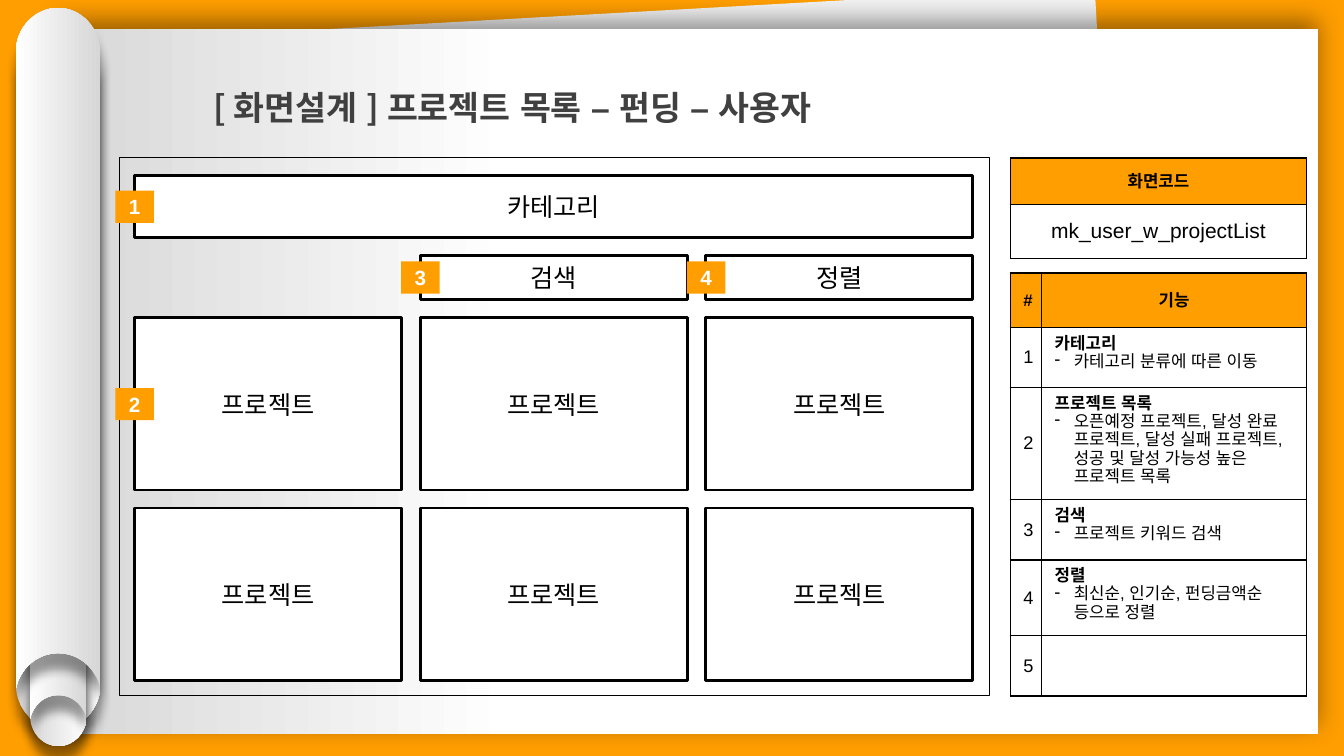
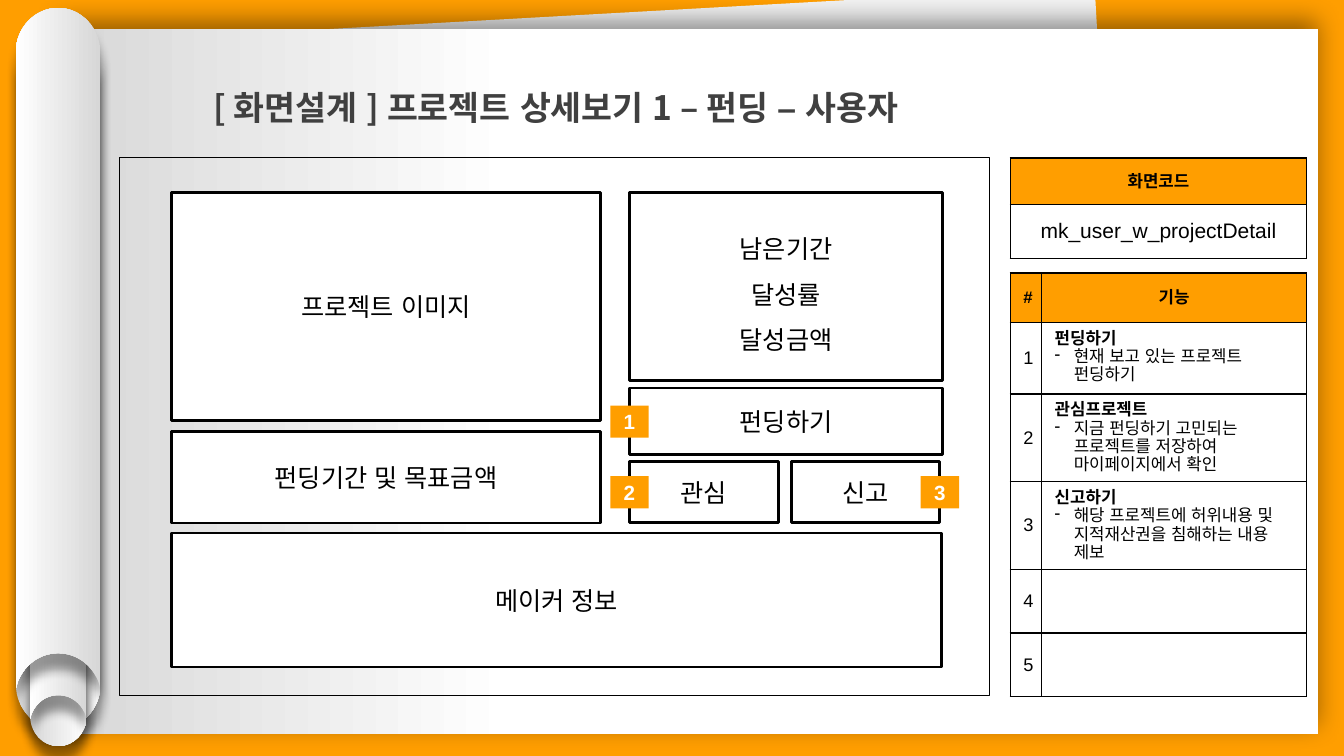
"""Build two screen design slides with a wireframe and a table of functions."""
from lxml.etree import SubElement
from pptx import Presentation
from pptx.dml.color import RGBColor
from pptx.enum.shapes import MSO_SHAPE
from pptx.enum.text import MSO_ANCHOR, PP_ALIGN
from pptx.oxml import parse_xml
from pptx.oxml.ns import nsdecls, qn
from pptx.util import Cm, Pt

HUES = {"gold": "FF9E00", "white": "FFFFFF", "black": "000000",
        "pale": "F2F2F2", "grey": "D7D7D7", "dark": "404040"}
INK = {name: RGBColor.from_string(code) for name, code in HUES.items()}
LATIN, HANGUL = "Arial", "Noto Sans CJK KR"

LEFT, STEP, WIDE = 3.39, 7.2, 6.73
CELLS = [("프로젝트", LEFT + col * STEP, top, WIDE, 4.34,
          "2" if (row, col) == (0, 0) else "", 0)
         for row, top in enumerate((8.01, 12.8)) for col in range(3)]

PAGES = [
    {"title": "[ 화면설계 ] 프로젝트 목록 – 펀딩 – 사용자",
     "code": "mk_user_w_projectList",
     "rows": [1.37, 1.52, 2.82, 1.52, 1.91, 1.52],
     "tasks": [
         ("카테고리", "카테고리 분류에 따른 이동"),
         ("프로젝트 목록", "오픈예정 프로젝트, 달성 완료 프로젝트, 달성 실패 프로젝트, "
                     "성공 및 달성 가능성 높은 프로젝트 목록"),
         ("검색", "프로젝트 키워드 검색"),
         ("정렬", "최신순, 인기순, 펀딩금액순 등으로 정렬")],
     "boxes": [
         ("카테고리", LEFT, 4.42, 21.13, 1.57, "1", 0), *CELLS,
         ("정렬", LEFT + 2 * STEP, 6.43, WIDE, 1.12, "4", 0),
         ("검색", LEFT + STEP, 6.43, WIDE, 1.12, "3", 0)]},
    {"title": "[ 화면설계 ] 프로젝트 상세보기 1 – 펀딩 – 사용자",
     "code": "mk_user_w_projectDetail",
     "rows": [1.25, 1.8, 2.21, 2.21, 1.6, 1.6],
     "tasks": [
         ("펀딩하기", "현재 보고 있는 프로젝트 펀딩하기"),
         ("관심프로젝트", "지금 펀딩하기 고민되는 프로젝트를 저장하여 마이페이지에서 확인"),
         ("신고하기", "해당 프로젝트에 허위내용 및 지적재산권을 침해하는 내용 제보")],
     "boxes": [
         ("프로젝트 이미지", 4.32, 4.86, 10.82, 5.74, "", 0),
         ("펀딩기간 및 목표금액", 4.32, 10.87, 10.82, 2.31, "", 0),
         ("남은기간\n달성률\n달성금액", 15.86, 4.86, 7.9, 4.72, "", 0),
         ("메이커 정보", 4.32, 13.43, 19.41, 3.38, "", 0),
         ("펀딩하기", 15.86, 9.78, 7.9, 1.68, "1", 0),
         ("관심", 15.86, 11.64, 3.76, 1.52, "2", 0),
         ("신고", 19.95, 11.64, 3.73, 1.52, "3", 1)]},
]
ROLLS = [(0.4, 1.22, 2.13, 17.15, 180), (0.76, 7.32, 1.42, 11.48, 180),
         (0.76, 6.63, 1.42, 11.48, 0), (0.4, 0.2, 2.13, 17.15, 0)]
CURVE = [("moveTo", [(42, 0)]), ("cubicBezTo", [(65, 0), (84, 20), (84, 44)]),
         ("lnTo", [(84, 675)]), ("lnTo", [(82, 668)]),
         ("cubicBezTo", [(75, 651), (60, 640), (42, 640)]),
         ("cubicBezTo", [(24, 640), (9, 651), (2, 668)]),
         ("lnTo", [(0, 675)]), ("lnTo", [(0, 44)]),
         ("cubicBezTo", [(0, 20), (19, 0), (42, 0)]), ("close", [])]


def write(para, size, hue="black", bold=False, face=LATIN, align=PP_ALIGN.CENTER):
    para.alignment = align
    for run in para.runs:
        font = run.font
        font.size, font.bold, font.name = Pt(size), bold, face
        font.color.rgb = INK[hue]
        SubElement(font._element, qn("a:ea")).set("typeface", LATIN)


def paint(shape, fill=None, line=0, stops=(), cast=()):
    shape.shadow.inherit = False
    if stops:
        shape.fill.gradient()
        shape.fill.gradient_angle = 180
        for stop, (place, hue) in zip(shape.fill.gradient_stops, stops):
            stop.position, stop.color.rgb = place, INK[hue]
    elif fill:
        shape.fill.solid()
        shape.fill.fore_color.rgb = INK[fill]
    else:
        shape.fill.background()
    if line:
        shape.line.color.rgb, shape.line.width = INK["black"], Pt(line)
    else:
        shape.line.fill.background()
    if cast:
        blur, dist, turn = cast
        shape._element.spPr.find(qn("a:effectLst")).append(parse_xml(
            f'<a:outerShdw {nsdecls("a")} blurRad="{Pt(blur)}" dist="{Pt(dist)}" '
            f'dir="{turn * 60000}" rotWithShape="0"><a:srgbClr val="{HUES["black"]}">'
            '<a:alpha val="40000"/></a:srgbClr></a:outerShdw>'))
    return shape


deck = Presentation()
deck.slide_width, deck.slide_height = Cm(33.87), Cm(19.05)

for page in PAGES:
    slide = deck.slides.add_slide(deck.slide_layouts[6])
    slide.background.fill.solid()
    slide.background.fill.fore_color.rgb = INK["gold"]
    shapes = slide.shapes

    back = shapes.add_shape(MSO_SHAPE.RECTANGLE, Cm(2.31), Cm(0.36), Cm(25.78), Cm(17.27))
    paint(back, "pale").rotation = 356.8
    sheet = shapes.add_shape(MSO_SHAPE.RECTANGLE, Cm(1.47), Cm(0.74), Cm(31.75), Cm(17.75))
    paint(sheet, stops=[(0.64, "white"), (1, "grey")], cast=(18, 6, 270))

    scroll = shapes.add_group_shape()
    for x, y, w, h, turn in ROLLS:
        pen = scroll.shapes.build_freeform(Cm(x), Cm(y))
        pen.add_line_segments([(Cm(x + w), Cm(y)), (Cm(x + w), Cm(y + h)),
                               (Cm(x), Cm(y + h))], close=True)
        roll = paint(pen.convert_to_shape(), stops=[(0, "grey"), (1, "white")],
                     cast=(7, 11, 90))
        roll.rotation = turn
        trace = roll._element.spPr.find(".//" + qn("a:path"))
        for part in list(trace):
            trace.remove(part)
        trace.set("w", "84")
        trace.set("h", "675")
        for verb, dots in CURVE:
            part = SubElement(trace, qn("a:" + verb))
            for px, py in dots:
                SubElement(part, qn("a:pt"), x=str(px), y=str(py))

    title = shapes.add_textbox(Cm(5.13), Cm(1.55), Cm(24.41), Cm(1.8)).text_frame
    title.word_wrap = True
    title.text = page["title"]
    title.paragraphs[0].line_spacing = 1.5
    write(title.paragraphs[0], 24, "dark", True, HANGUL, PP_ALIGN.LEFT)

    frame = shapes.add_shape(MSO_SHAPE.RECTANGLE, Cm(3.01), Cm(3.98), Cm(21.92), Cm(13.54))
    paint(frame, line=0.75)

    tasks = ["\n".join(task) for task in page["tasks"]]
    tasks += [""] * (5 - len(tasks))
    jobs = [["#", "기능"]] + [[str(i), task] for i, task in enumerate(tasks, 1)]
    for top, cols, rows, data in (
            (3.98, [7.47], [1.17, 1.37], [["화면코드"], [page["code"]]]),
            (6.88, [0.79, 6.68], page["rows"], jobs)):
        table = shapes.add_table(len(rows), len(cols), Cm(25.46), Cm(top),
                                 Cm(sum(cols)), Cm(sum(rows))).table
        table.first_row = table.horz_banding = False
        for i, w in enumerate(cols):
            table.columns[i].width = Cm(w)
        for i, h in enumerate(rows):
            table.rows[i].height = Cm(h)
            for j, text in enumerate(data[i]):
                cell = table.cell(i, j)
                cell.margin_left = cell.margin_right = Cm(0.33)
                cell.margin_top = cell.margin_bottom = Cm(0.18)
                for side in ("lnL", "lnR", "lnT", "lnB"):
                    cell._tc.get_or_add_tcPr().append(parse_xml(
                        f'<a:{side} {nsdecls("a")} w="{Pt(1)}"><a:solidFill>'
                        f'<a:srgbClr val="{HUES["black"]}"/></a:solidFill></a:{side}>'))
                if i:
                    cell.fill.background()
                else:
                    cell.fill.solid()
                    cell.fill.fore_color.rgb = INK["gold"]
                cell.text_frame.text = text
                if i and j:
                    for k, para in enumerate(cell.text_frame.paragraphs):
                        para.line_spacing = Pt(13)
                        props = para._p.get_or_add_pPr()
                        props.set("hangingPunct", "0")
                        if k:
                            props.set("marL", str(Cm(0.48)))
                            props.set("indent", str(-Cm(0.48)))
                            SubElement(props, qn("a:buChar")).set("char", "-")
                        write(para, 12, bold=not k, align=PP_ALIGN.LEFT)
                else:
                    cell.vertical_anchor = MSO_ANCHOR.MIDDLE
                    size = 12 if not i else 15 if len(cols) == 1 else 13
                    write(cell.text_frame.paragraphs[0], size, bold=not i)

    for text, x, y, w, h, mark, side in page["boxes"]:
        box = shapes.add_shape(MSO_SHAPE.RECTANGLE, Cm(x), Cm(y), Cm(w), Cm(h))
        paint(box, "white", 2).text_frame.text = text
        for para in box.text_frame.paragraphs:
            if "\n" in text:
                para.line_spacing = 1.5
            write(para, 18)

    for text, x, y, w, h, mark, side in page["boxes"]:
        if mark:
            badge = shapes.add_shape(MSO_SHAPE.RECTANGLE, Cm(x + side * w - 0.48),
                                     Cm(y + h / 2 - 0.4), Cm(0.97), Cm(0.81))
            paint(badge, "gold").text_frame.text = mark
            write(badge.text_frame.paragraphs[0], 14.7, "white", True)

deck.save("out.pptx")
